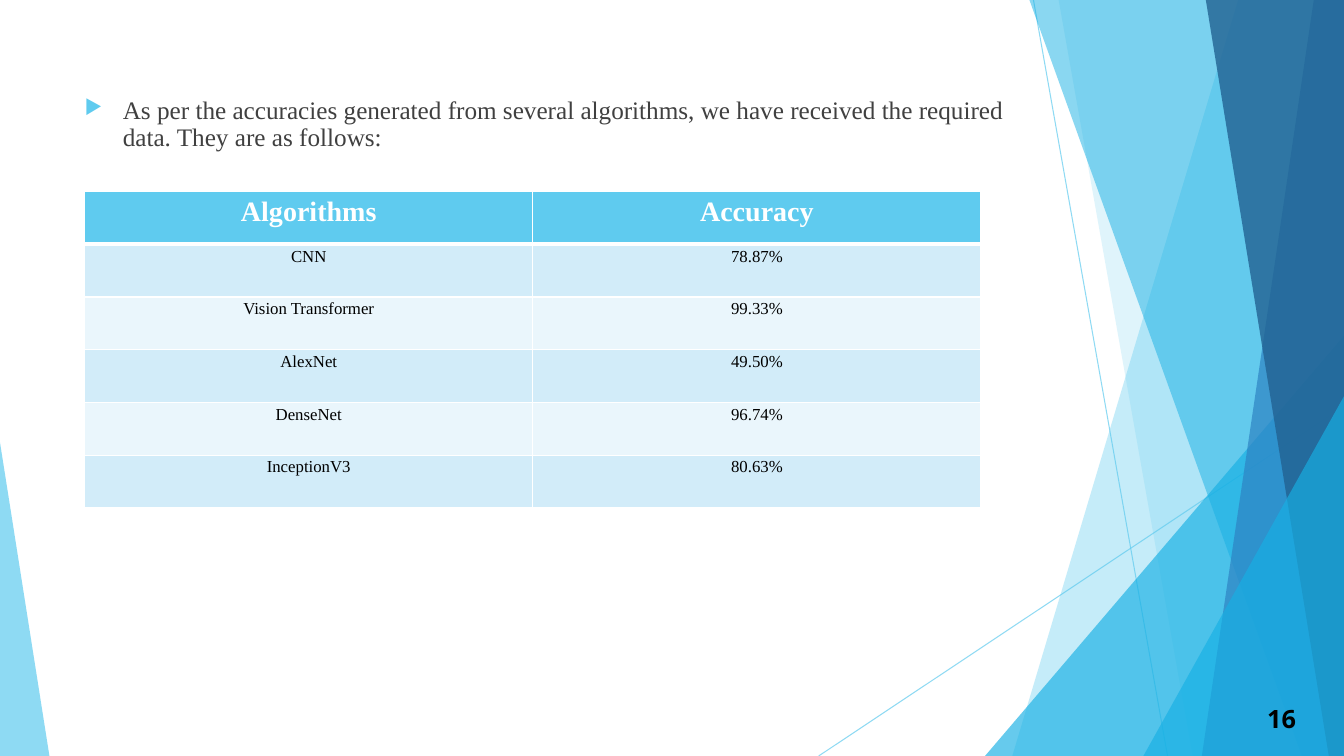
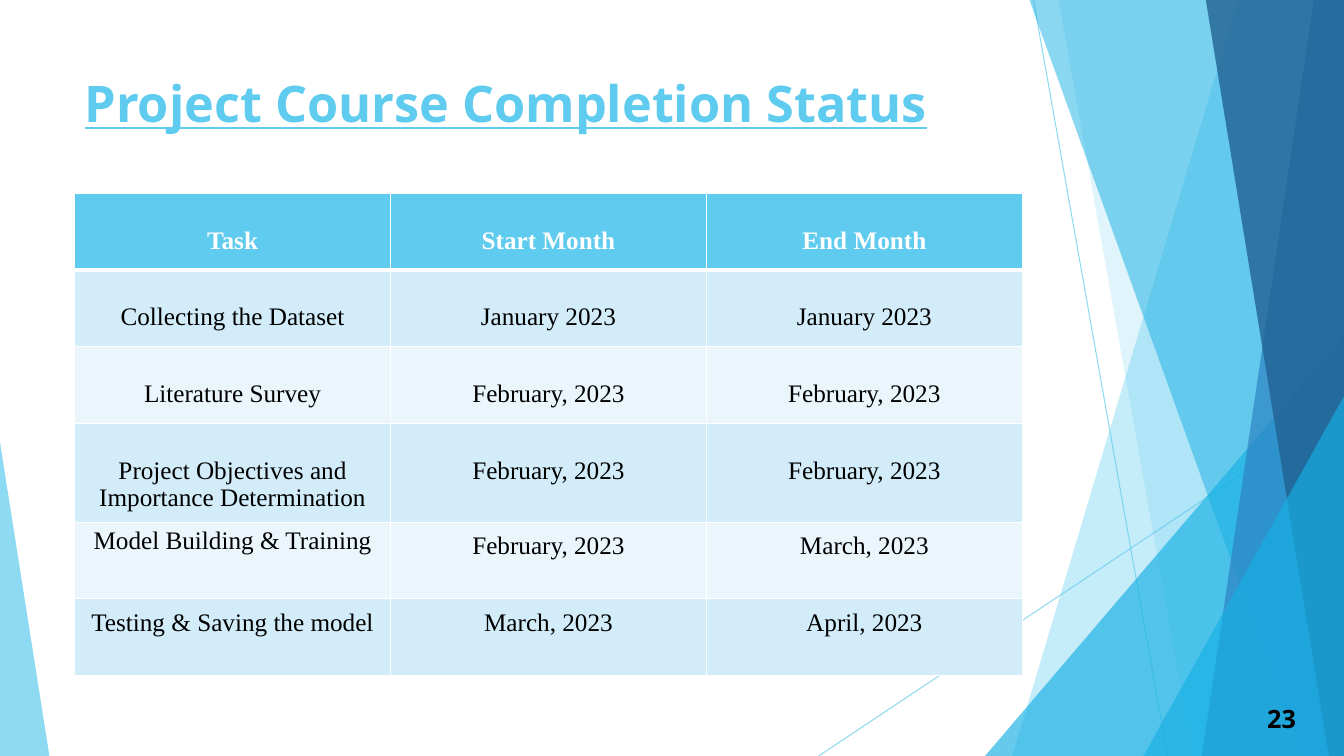
from lxml.etree import SubElement
from pptx import Presentation
from pptx.dml.color import RGBColor
from pptx.enum.shapes import MSO_CONNECTOR, MSO_SHAPE
from pptx.enum.text import MSO_ANCHOR, PP_ALIGN
from pptx.oxml.ns import qn
from pptx.util import Inches, Pt

COLOURS = {
    "sky": "5FCBEF", "cyan": "17B0E4", "blue": "2E83C3", "navy": "226292",
    "white": "FFFFFF", "black": "000000", "grey": "404040",
    "band_dark": "D2ECF9", "band_light": "EAF6FC",
}
SERIF, SANS = "Times New Roman", "Open Sans"
WIDTH, HEIGHT = 13.33, 7.5
BLANK_LINE = 0.33

RAYS = [((10.25, 0), (11.58, HEIGHT)), ((WIDTH, 4.03), (8.12, HEIGHT))]
FACETS = [
    ("panel", 12.28, 10.04, "sky", 36),
    ("panel", 10.5, 11.83, "sky", 20),
    ("triangle", (9.77, 3.33, 3.56, 4.17), 1, "cyan", 66),
    ("panel", 10.21, 12.91, "cyan", 50),
    ("panel", 13.03, 11.92, "blue", 70),
    ("panel", 11.96, 13.18, "navy", 80),
    ("triangle", (11.34, 3.93, 1.99, 3.57), 1, "cyan", 66),
    ("triangle", (0, 4.39, 0.49, 3.11), 0, "sky", 70),
]


def colour(name):
    """Return the named colour."""
    return RGBColor.from_string(COLOURS[name])


def set_opacity(shape, percent):
    """Make every colour of a shape partly transparent."""
    for tint in shape._element.spPr.iter(qn("a:srgbClr")):
        SubElement(tint, qn("a:alpha"), val=str(percent * 1000))


def style_font(font, face, size, tint, bold=False):
    """Set face, size, colour and weight of a font."""
    font.name, font.size, font.bold = face, Pt(size), bold
    font.color.rgb = colour(tint)


def add_ray(page, start, end):
    """Draw one thin line across the background."""
    ray = page.shapes.add_connector(
        MSO_CONNECTOR.STRAIGHT, *(Inches(value) for value in start + end))
    ray.line.color.rgb = colour("sky")
    ray.line.width = Pt(0.75)
    set_opacity(ray, 70)
    SubElement(ray._element.spPr, qn("a:effectLst"))


def draw_panel(page, top_x, bottom_x):
    """Draw a panel with a slanted left side, up to the right edge."""
    corners = [(Inches(x), Inches(y)) for x, y in (
        (top_x, 0), (WIDTH, 0), (WIDTH, HEIGHT), (bottom_x, HEIGHT))]
    builder = page.shapes.build_freeform(*corners[0], scale=1.0)
    builder.add_line_segments(corners[1:], close=True)
    return builder.convert_to_shape()


def draw_triangle(page, box, apex):
    """Draw a triangle whose apex is at a fraction of its width."""
    triangle = page.shapes.add_shape(
        MSO_SHAPE.ISOSCELES_TRIANGLE, *(Inches(value) for value in box))
    triangle.adjustments[0] = apex
    return triangle


def add_background(page):
    """Draw the rays and the translucent facets."""
    for start, end in RAYS:
        add_ray(page, start, end)
    makers = {"panel": draw_panel, "triangle": draw_triangle}
    for kind, first, second, tint, percent in FACETS:
        facet = makers[kind](page, first, second)
        facet.shadow.inherit = False
        facet.fill.solid()
        facet.fill.fore_color.rgb = colour(tint)
        facet.line.fill.background()
        set_opacity(facet, percent)


def add_text(page, box, text, face, size, tint, bold=False):
    """Add a wrapped text box and return its paragraph."""
    frame = page.shapes.add_textbox(*(Inches(value) for value in box)).text_frame
    frame.word_wrap = True
    frame.vertical_anchor = MSO_ANCHOR.TOP
    para = frame.paragraphs[0]
    para.text = text
    style_font(para.font, face, size, tint, bold)
    return para


def add_title(page, box, text):
    """Add an underlined title."""
    add_text(page, box, text, SANS, 36, "sky", True).font.underline = True


def add_bullet(page, box, text):
    """Add one paragraph with a hanging arrow bullet."""
    para = add_text(page, box, text, SERIF, 18, "grey")
    para.line_spacing = 0.9
    para.space_after = Pt(12)
    properties = para._p.get_or_add_pPr()
    properties.set("marL", str(Inches(0.38)))
    properties.set("indent", str(-Inches(0.38)))
    bullet_colour = SubElement(properties, qn("a:buClr"))
    SubElement(bullet_colour, qn("a:srgbClr"), val=COLOURS["sky"])
    SubElement(properties, qn("a:buSzPct"), val="80000")
    SubElement(properties, qn("a:buChar"), char="\u25b6")
    default_font = properties.find(qn("a:defRPr"))
    properties.append(default_font)


def set_borders(cell, top, bottom):
    """Give a cell white borders, with its own top and bottom widths."""
    properties = cell._tc.get_or_add_tcPr()
    for side, width in (("L", 1), ("R", 1), ("T", top), ("B", bottom)):
        border = SubElement(properties, qn(f"a:ln{side}"), w=str(Pt(width)))
        fill = SubElement(border, qn("a:solidFill"))
        SubElement(fill, qn("a:srgbClr"), val=COLOURS["white"])


def add_banded_table(page, box, rows, heights, sizes, margins, spacing=1.0):
    """Add a table with a header and alternating bands."""
    table = page.shapes.add_table(
        len(rows), len(rows[0]), *(Inches(value) for value in box)).table
    for column in table.columns:
        column.width = Inches(box[2] / len(rows[0]))
    for index, (values, height) in enumerate(zip(rows, heights)):
        table.rows[index].height = Inches(height)
        header = index == 0
        band = "sky" if header else ("band_light", "band_dark")[index % 2]
        for position, value in enumerate(values):
            cell = table.cell(index, position)
            set_borders(cell, 3 if index == 1 else 1, 3 if header else 1)
            cell.fill.solid()
            cell.fill.fore_color.rgb = colour(band)
            side, top, bottom = margins(index, position)
            cell.margin_left = cell.margin_right = Inches(side)
            cell.margin_top, cell.margin_bottom = Inches(top), Inches(bottom)
            para = cell.text_frame.paragraphs[0]
            para.text = value
            para.alignment = PP_ALIGN.CENTER
            if not header:
                para.line_spacing = spacing
            style_font(para.font, SERIF, sizes[0 if header else 1],
                       "white" if header else "black", header)


def accuracy_margins(row, column):
    """Return side, top and bottom margins of an accuracy cell."""
    return (0.1, 0.05, 0.05) if row == 0 else (0.07, 0, 0)


def status_margins(row, column):
    """Return side, top and bottom margins of a status cell."""
    if row < 4:
        return 0.1, BLANK_LINE, 0.05
    return (0.1, 0.05, 0.05) if (row, column) == (4, 0) else (0.1, 0.1, 0.1)


def add_page(deck, number):
    """Add a blank page with the background and its number."""
    page = deck.slides.add_slide(deck.slide_layouts[6])
    add_background(page)
    add_text(page, (12.47, 6.93, 0.52, 0.4), str(number), SANS, 18, "black", True)
    return page


def build_accuracy(deck):
    """Build the page of algorithm accuracies."""
    page = add_page(deck, 16)
    add_bullet(page, (0.74, 0.92, 9.4, 0.75),
               "As per the accuracies generated from several algorithms, "
               "we have received the required data. They are as follows:")
    rows = [
        ("Algorithms", "Accuracy"),
        ("CNN", "78.87%"),
        ("Vision Transformer", "99.33%"),
        ("AlexNet", "49.50%"),
        ("DenseNet", "96.74%"),
        ("InceptionV3", "80.63%"),
    ]
    box = (0.84, 1.9, 8.89, 3.14)
    add_banded_table(page, box, rows, [box[3] / len(rows)] * len(rows),
                     (20, 12), accuracy_margins, 1.15)


def build_status(deck):
    """Build the page of project status."""
    page = add_page(deck, 23)
    add_title(page, (0.74, 0.67, 9.4, 1.44), "Project Course Completion Status")
    rows = [
        ("Task", "Start Month", "End Month"),
        ("Collecting the Dataset", "January 2023", "January 2023"),
        ("Literature Survey", "February, 2023", "February, 2023"),
        ("Project Objectives and Importance Determination",
         "February, 2023", "February, 2023"),
        ("Model Building & Training", "February, 2023", "March, 2023"),
        ("Testing & Saving the model", "March, 2023", "April, 2023"),
    ]
    heights = [0.76] * 3 + [0.93] + [0.76] * 2
    add_banded_table(page, (0.74, 1.92, 9.4, sum(heights)), rows, heights,
                     (18, 18), status_margins)


def main():
    """Build and save the deck."""
    deck = Presentation()
    deck.slide_width, deck.slide_height = Inches(WIDTH), Inches(HEIGHT)
    build_accuracy(deck)
    build_status(deck)
    deck.save("out.pptx")


main()
